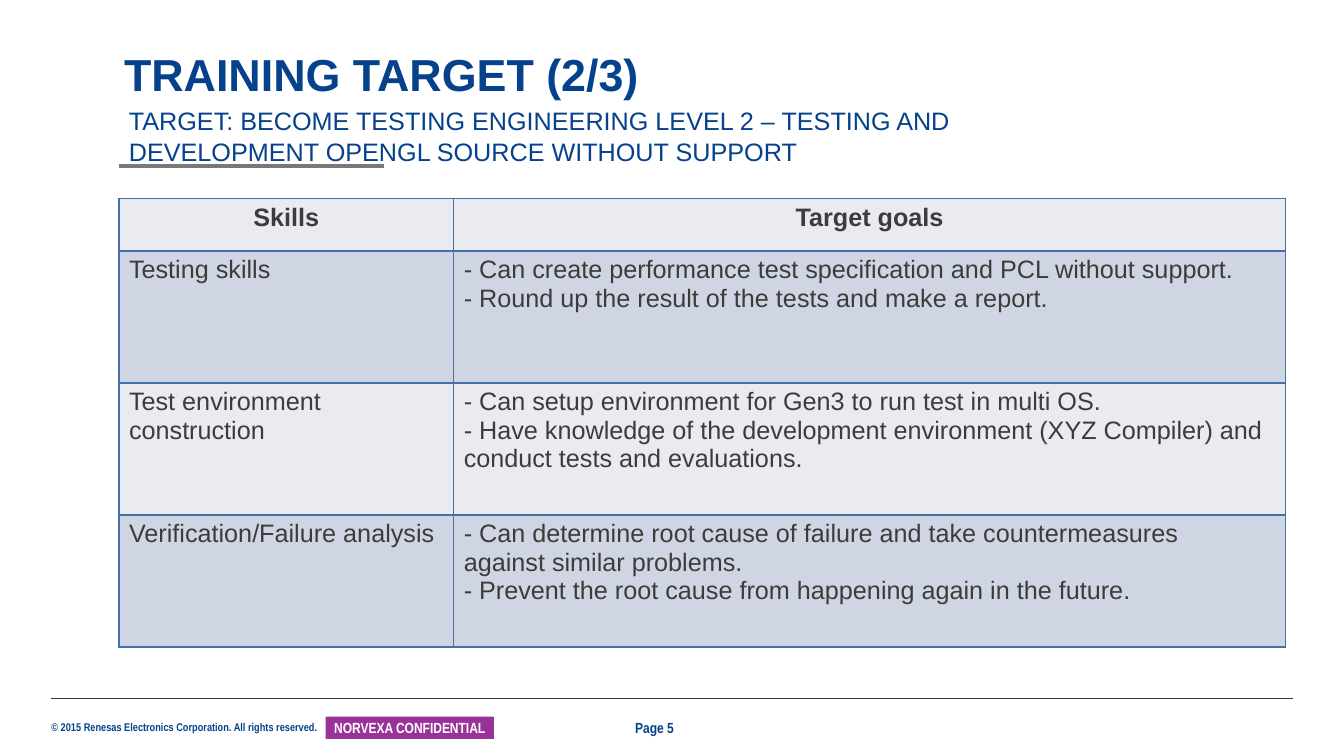
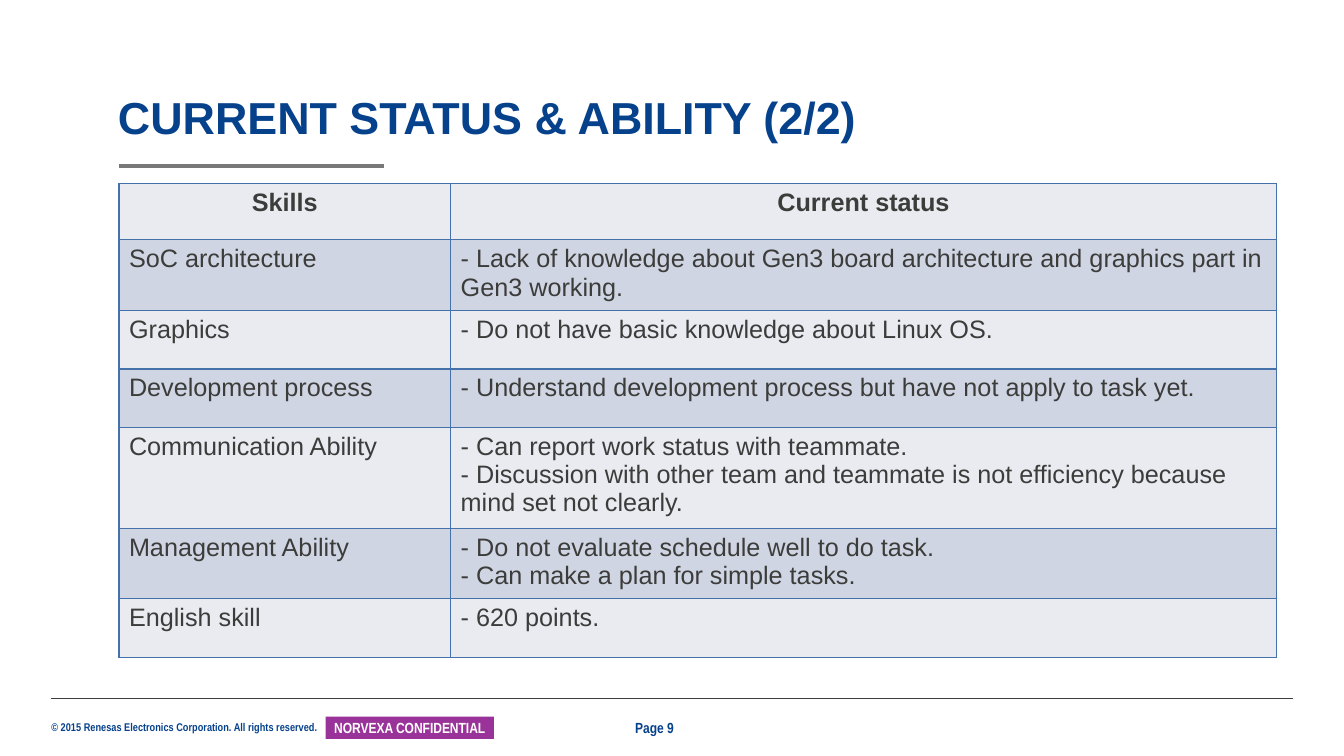
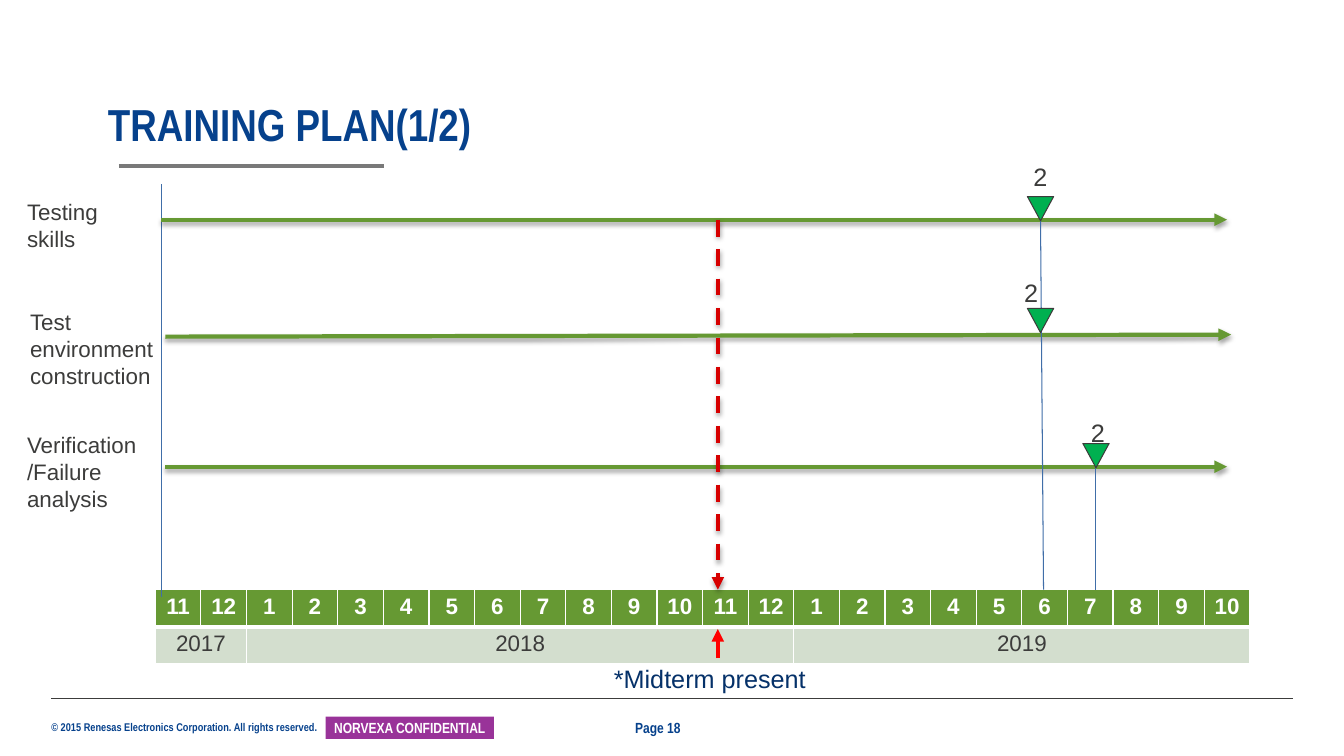
from lxml.etree import SubElement
from pptx import Presentation
from pptx.dml.color import RGBColor
from pptx.enum.dml import MSO_LINE_DASH_STYLE as DASH
from pptx.enum.shapes import MSO_CONNECTOR, MSO_SHAPE
from pptx.enum.text import MSO_ANCHOR as ANCHOR, MSO_AUTO_SIZE as AUTO_SIZE, PP_ALIGN as ALIGN
from pptx.oxml.ns import qn
from pptx.util import Pt

EMU_PER_PX = 9144  # 100 px to the inch
COLORS = {
    "brand": "06418C", "text": "3C3C3B", "white": "FFFFFF", "purple": "993399",
    "rule": "797979", "border": "4471A9", "light": "E9EBF1", "band": "CFD5E2",
    "green": "669933", "pale_green": "D3DECE", "marker": "00B050", "drop": "406EA8",
    "red": "FF0000", "dark_red": "D70000", "navy": "053169", "black": "000000",
}
SANS, NARROW = "Arial", "Arial Narrow"


def px(length):
    return round(length * EMU_PER_PX)


def color(name):
    return RGBColor.from_string(COLORS[name])


def fill(target, name):
    target.fill.solid()
    target.fill.fore_color.rgb = color(name)


# Text
def write(frame, text, size=18, font=SANS, tint="text", bold=False, align=ALIGN.LEFT,
          anchor=ANCHOR.TOP, margins=None, wrap=True, spacing=None):
    frame.word_wrap = wrap
    frame.vertical_anchor = anchor
    if margins is not None:
        frame.margin_left = frame.margin_right = px(margins)
        frame.margin_top = frame.margin_bottom = 0
    lines = text.split("\n")
    for index, line in enumerate(lines):
        paragraph = frame.paragraphs[0] if index == 0 else frame.add_paragraph()
        paragraph.alignment = align
        if spacing:
            paragraph.line_spacing = spacing
        run = paragraph.add_run()
        run.text = line
        run.font.size, run.font.name, run.font.bold = Pt(size), font, bold
        run.font.color.rgb = color(tint)


def add_text(slide, box, text, **formatting):
    shape = slide.shapes.add_textbox(*map(px, box))
    write(shape.text_frame, text, **formatting)
    return shape


# Lines and shapes
def add_line(slide, start, end, tint, width, arrow=False, shadow=False, dash=None):
    connector = slide.shapes.add_connector(MSO_CONNECTOR.STRAIGHT, *map(px, start + end))
    connector.line.color.rgb = color(tint)
    connector.line.width = Pt(width)
    if dash:
        connector.line.dash_style = dash
    properties = connector._element.spPr
    if arrow:
        SubElement(properties.find(qn("a:ln")), qn("a:tailEnd"), type="triangle")
    effects = SubElement(properties, qn("a:effectLst"))
    if shadow:
        outer = SubElement(effects, qn("a:outerShdw"), blurRad=str(Pt(3.1)), dist=str(Pt(1.8)),
                           dir="5400000", rotWithShape="0")
        tone = SubElement(outer, qn("a:srgbClr"), val=COLORS["black"])
        SubElement(tone, qn("a:alpha"), val="35000")
    return connector


def add_block(slide, kind, box, tint, outline=None):
    shape = slide.shapes.add_shape(kind, *map(px, box))
    shape.shadow.inherit = False
    fill(shape, tint)
    if outline:
        shape.line.color.rgb = color(outline)
        shape.line.width = Pt(0.75)
    else:
        shape.line.fill.background()
    return shape


# Tables
def set_borders(cell, tint, left=1, right=1, top=1, bottom=1):
    properties = cell._tc.get_or_add_tcPr()
    sides = (("a:lnL", left), ("a:lnR", right), ("a:lnT", top), ("a:lnB", bottom))
    for index, (side, width) in enumerate(sides):
        line = SubElement(properties, qn(side), w=str(Pt(width)))
        solid = SubElement(line, qn("a:solidFill"))
        SubElement(solid, qn("a:srgbClr"), val=COLORS[tint])
        properties.insert(index, line)


def add_grid(slide, left, top, columns, rows):
    frame = slide.shapes.add_table(len(rows), len(columns), px(left), px(top),
                                   px(sum(columns)), px(sum(rows)))
    table = frame.table
    table.first_row = table.horz_banding = False
    for column, width in zip(table.columns, columns):
        column.width = px(width)
    for row, height in zip(table.rows, rows):
        row.height = px(height)
    return table


def add_skill_table(slide, left, top, columns, heights, rows):
    table = add_grid(slide, left, top, columns, heights)
    for row_index, row in enumerate(rows):
        header = row_index == 0
        for column_index, text in enumerate(row):
            cell = table.cell(row_index, column_index)
            fill(cell, "band" if row_index % 2 else "light")
            set_borders(cell, "border")
            write(cell.text_frame, text, bold=header,
                  align=ALIGN.CENTER if header else ALIGN.LEFT)


def add_calendar(slide, left, top, width, row_height, years):
    months = [month for _, year_months in years for month in year_months]
    table = add_grid(slide, left, top, [width / len(months)] * len(months), [row_height] * 2)
    for index, month in enumerate(months):
        month_cell, year_cell = table.cell(0, index), table.cell(1, index)
        for cell, tint, bottom in ((month_cell, "green", 3), (year_cell, "pale_green", 1)):
            fill(cell, tint)
            set_borders(cell, "white", bottom=bottom)
            cell.margin_left = cell.margin_right = px(4)
        write(month_cell.text_frame, str(month), size=16, tint="white", bold=True,
              align=ALIGN.CENTER)
    first = 0
    for year, year_months in years:
        last = first + len(year_months) - 1
        table.cell(1, first).merge(table.cell(1, last))
        write(table.cell(1, first).text_frame, year, size=16, align=ALIGN.CENTER)
        first = last + 1


# Shared frame: title, title rule and footer
def add_footer(slide, left, top, width, page):
    add_line(slide, (left, top), (left + width, top), "text", 0.5)
    add_text(slide, (left, top + 22, 268, 13),
             "© 2015 Renesas Electronics Corporation. All rights reserved.",
             size=8, font=NARROW, tint="brand", bold=True, margins=0, wrap=False)
    label = add_block(slide, MSO_SHAPE.RECTANGLE, (left + 272, top + 18, 167, 22), "purple")
    write(label.text_frame, "NORVEXA CONFIDENTIAL", size=10.5, font=NARROW, tint="white",
          bold=True, align=ALIGN.CENTER, anchor=ANCHOR.MIDDLE, margins=4)
    add_text(slide, (left + 579, top + 20, 73, 18), f"Page {page}", size=10.5, font=NARROW,
             tint="brand", bold=True, anchor=ANCHOR.MIDDLE, margins=0)


def start_slide(presentation, title, left, top, page, font=SANS):
    slide = presentation.slides.add_slide(presentation.slide_layouts[5])
    holder = slide.shapes.title
    holder.left, holder.top, holder.width, holder.height = map(px, (left, top, 984, 48))
    holder.text_frame.auto_size = AUTO_SIZE.NONE
    write(holder.text_frame, title, size=32, font=font, tint="brand", bold=True,
          anchor=ANCHOR.BOTTOM, margins=0, spacing=0.9)
    add_line(slide, (118, 165), (381, 165), "rule", 3)
    add_footer(slide, 51, 693, 1231, page)
    return slide


# Training plan parts
def add_track(slide, label_box, label, start, end):
    add_text(slide, label_box, label, size=16)
    add_line(slide, start, end, "green", 3, arrow=True, shadow=True)


def add_marker(slide, tip_x, tip_y, label_x, label_y):
    triangle = add_block(slide, MSO_SHAPE.ISOSCELES_TRIANGLE,
                         (tip_x - 13, tip_y - 24, 26, 24), "marker", outline="text")
    triangle.rotation = 180
    add_text(slide, (label_x, label_y, 22, 40), "2", wrap=False)


# Slides
def build_target(presentation):
    slide = start_slide(presentation, "TRAINING TARGET (2/3)", 123, 52, 5)
    add_text(slide, (118, 100, 965, 71),
             "TARGET: BECOME TESTING ENGINEERING LEVEL 2 – TESTING AND "
             "DEVELOPMENT OPENGL SOURCE WITHOUT SUPPORT", tint="brand")
    add_skill_table(slide, 118, 197, [332, 825], [52] + [131] * 3, [
        ("Skills", "Target goals"),
        ("Testing skills",
         "- Can create performance test specification and PCL without support.\n"
         "- Round up the result of the tests and make a report."),
        ("Test environment construction",
         "- Can setup environment for Gen3 to run test in multi OS.\n"
         "- Have knowledge of the development environment (XYZ Compiler) and "
         "conduct tests and evaluations."),
        ("Verification/Failure analysis",
         "- Can determine root cause of failure and take countermeasures\n"
         "against similar problems.\n"
         "- Prevent the root cause from happening again in the future."),
    ])


def build_status(presentation):
    slide = start_slide(presentation, "CURRENT STATUS & ABILITY (2/2)", 117, 95, 9)
    add_skill_table(slide, 118, 182, [329, 819], [56, 58, 58, 58, 98, 58, 58], [
        ("Skills", "Current status"),
        ("SoC architecture",
         "- Lack of knowledge about Gen3 board architecture and graphics part in Gen3 working."),
        ("Graphics", "- Do not have basic knowledge about Linux OS."),
        ("Development process",
         "- Understand development process but have not apply to task yet."),
        ("Communication Ability",
         "- Can report work status with teammate.\n"
         "- Discussion with other team and teammate is not efficiency because "
         "mind set not clearly."),
        ("Management Ability",
         "- Do not evaluate schedule well to do task.\n"
         "- Can make a plan for simple tasks."),
        ("English skill", "- 620 points."),
    ])


def build_plan(presentation):
    slide = start_slide(presentation, "TRAINING PLAN(1/2)", 107, 102, 18, font=NARROW)
    calendar_top = 585
    add_calendar(slide, 154, calendar_top, 1086, 36, [
        ("2017", range(11, 13)), ("2018", range(1, 13)), ("2019", range(1, 11))])
    add_line(slide, (160, 592), (160, 183), "drop", 0.75)

    # Skill tracks
    for track in (
        ((17, 192, 133, 64), "Testing skills", (160, 218), (1217, 218)),
        ((20, 301, 164, 91), "Test environment construction", (164, 334), (1221, 332)),
        ((17, 423, 133, 91), "Verification/Failure analysis", (164, 463), (1217, 463)),
    ):
        add_track(slide, *track)

    # Level markers and their dates
    add_line(slide, (1032, 215), (1035, calendar_top), "drop", 0.75)
    add_line(slide, (1087, 463), (1087, calendar_top), "drop", 0.75)
    for marker in ((1032, 219, 1015, 155), (1032, 330, 1006, 270), (1087, 464, 1072, 409)):
        add_marker(slide, *marker)

    # Midterm
    midterm = add_text(slide, (599, 653, 226, 40), "*Midterm present", tint="navy")
    pointer = add_line(slide, (712, 653), (712, 624), "red", 3, arrow=True)
    pointer.begin_connect(midterm, 0)
    add_line(slide, (712, 218), (712, calendar_top), "dark_red", 3, arrow=True, shadow=True,
             dash=DASH.DASH)


def main():
    presentation = Presentation()
    presentation.slide_width, presentation.slide_height = px(1333), px(750)
    build_target(presentation)
    build_status(presentation)
    build_plan(presentation)
    presentation.save("out.pptx")


if __name__ == "__main__":
    main()
